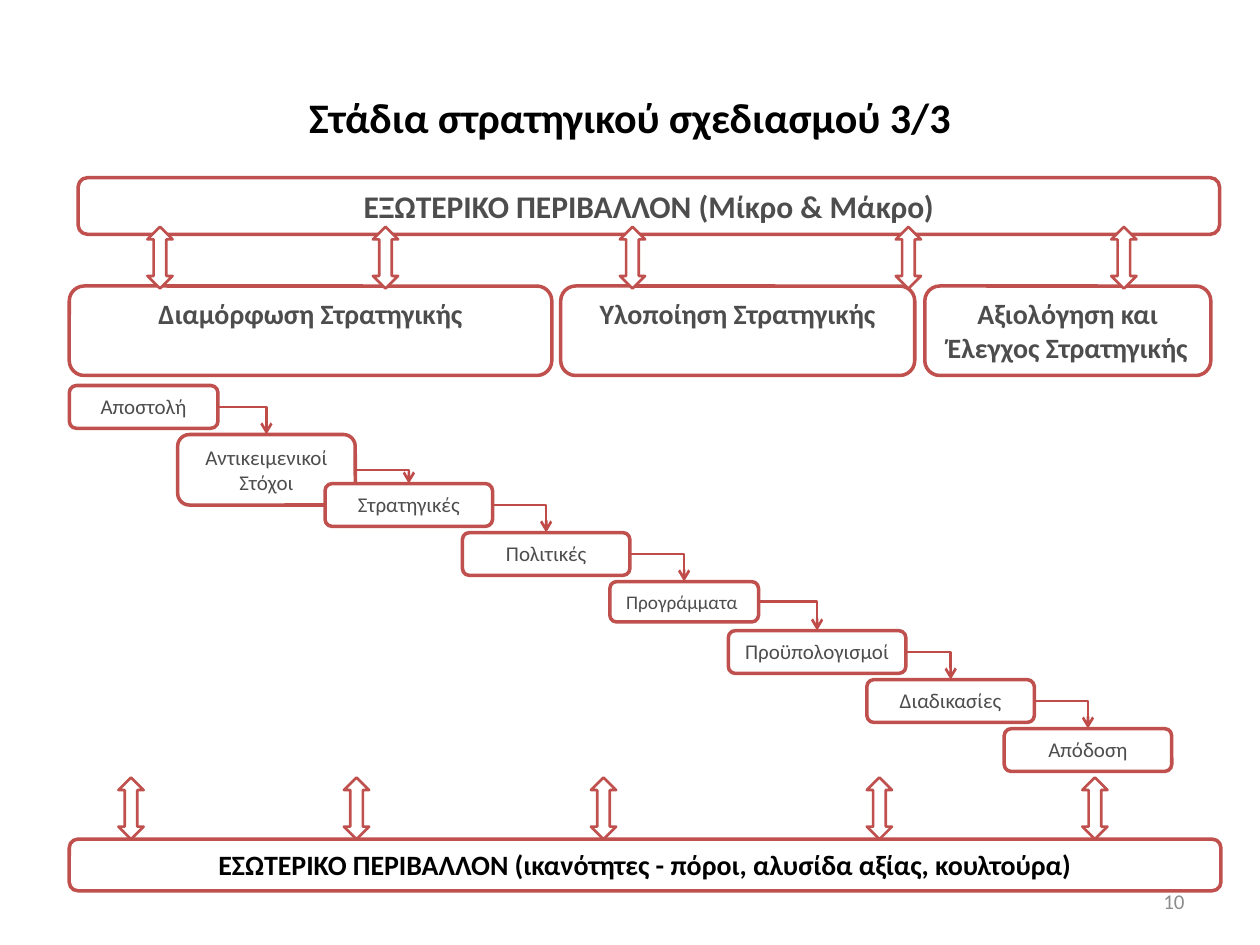
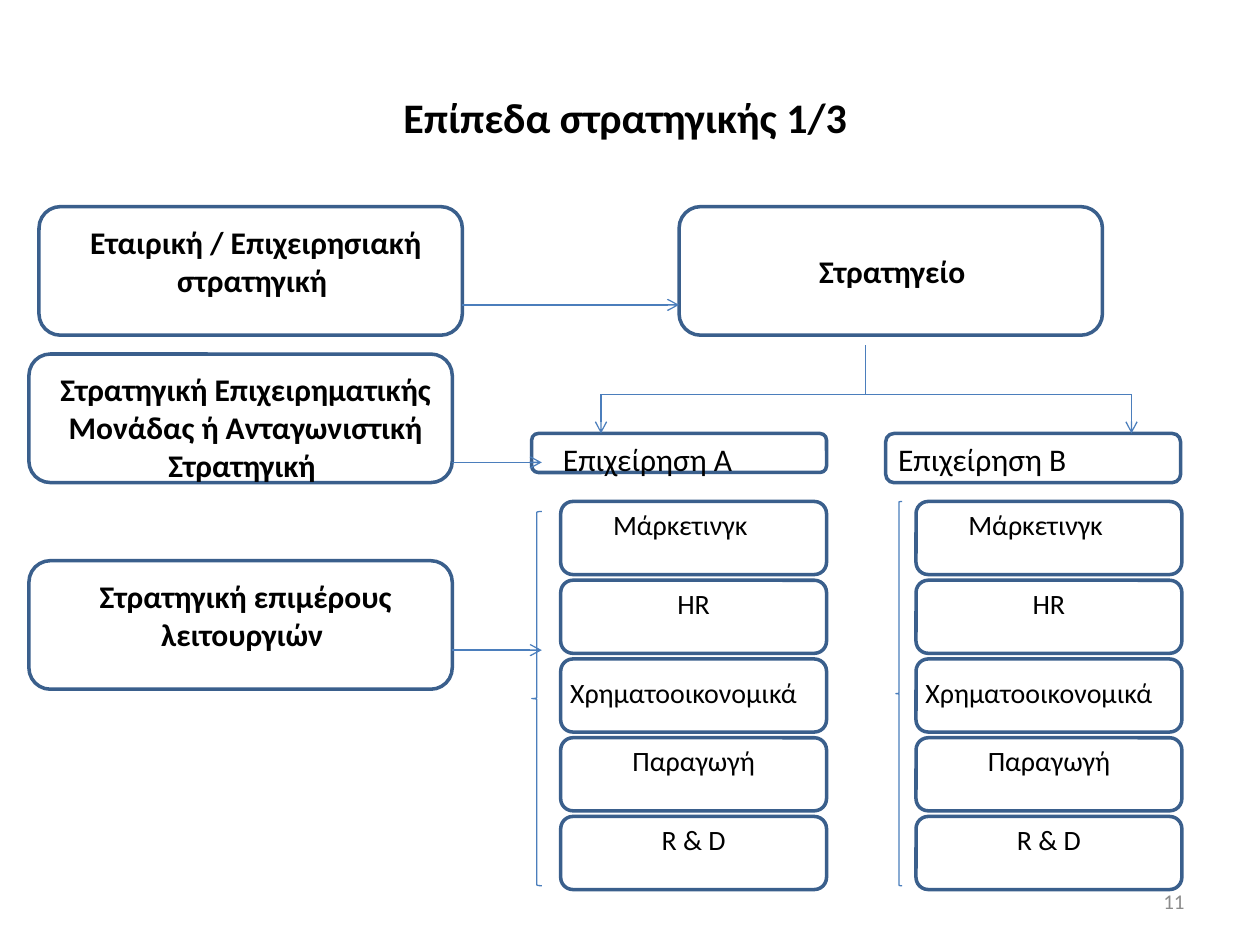
from itertools import pairwise

from lxml.etree import SubElement
from pptx import Presentation
from pptx.dml.color import RGBColor
from pptx.enum.shapes import MSO_CONNECTOR, MSO_SHAPE
from pptx.enum.text import MSO_ANCHOR, MSO_AUTO_SIZE, PP_ALIGN
from pptx.oxml.ns import qn
from pptx.util import Inches, Pt

FONT = "Calibri"
WHITE = RGBColor(0xFF, 0xFF, 0xFF)
BLACK = RGBColor(0, 0, 0)
DARK_GREY = RGBColor(0x4D, 0x4D, 0x4D)
PAGE_GREY = RGBColor(0x8C, 0x8C, 0x8C)
RED = RGBColor(0xC0, 0x50, 0x4D)
RED_LINK = RGBColor(0xBF, 0x4C, 0x48)
BLUE = RGBColor(0x3A, 0x5F, 0x8C)
BLUE_LINK = RGBColor(0x4B, 0x7E, 0xBC)

# Slide 1: planning stages
EXTERNAL = "ΕΞΩΤΕΡΙΚΟ ΠΕΡΙΒΑΛΛΟΝ (Μίκρο & Mάκρο)"
INTERNAL = "ΕΣΩΤΕΡΙΚΟ ΠΕΡΙΒΑΛΛΟΝ (ικανότητες - πόροι, αλυσίδα αξίας, κουλτούρα)"
PHASES = [  # text, left, width
    ("Διαμόρφωση Στρατηγικής", 0.55, 3.83),
    ("Υλοποίηση Στρατηγικής", 4.45, 2.81),
    ("Αξιολόγηση και Έλεγχος Στρατηγικής", 7.34, 2.27),
]
STEPS = [  # text, left, width, height, size
    ("Αποστολή", 0.55, 1.18, 0.34, 12),
    ("Αντικειμενικοί Στόχοι", 1.41, 1.41, 0.56, 12),
    ("Στρατηγικές", 2.58, 1.33, 0.34, 12),
    ("Πολιτικές", 3.67, 1.33, 0.34, 12),
    ("Προγράμματα ", 4.84, 1.18, 0.32, 11),
    ("Προϋπολογισμοί", 5.78, 1.41, 0.34, 12),
    ("Διαδικασίες", 6.88, 1.33, 0.34, 12),
    ("Απόδοση", 7.97, 1.33, 0.34, 12),
]
STEP_TOP, STEP_DROP = 3.06, 0.389
ARROW_LEFTS = [0.94, 2.73, 4.69, 6.88, 8.59]
ARROW_ROWS = [(6.17, 0), (1.8, 0.23)]  # top, shift to the right

# Slide 2: strategy levels
LEVEL_SIZE = (3.36, 1.02)
LEVELS = [  # text, lines, left, top, text offset from the top
    ("Εταιρική / Επιχειρησιακή στρατηγική ", 2, 0.31, 1.64, 0.08),
    ("Στρατηγική Επιχειρηματικής Μονάδας ή Ανταγωνιστική Στρατηγική ",
     3, 0.23, 2.81, 0.08),
    ("Στρατηγική επιμέρους λειτουργιών ", 2, 0.23, 4.45, 0.08),
    ("Στρατηγείο ", 1, 5.39, 1.64, 0.31),
]
COMPANIES = [  # text, left, text left, height, functions left, brace box
    ("Επιχείρηση Α", 4.22, 4.37, 0.31, 4.45, (4.22, 4.06, 0.08, 2.97)),
    ("Επιχείρηση Β", 7.03, 7.03, 0.39, 7.27, (7.11, 3.98, 0.05, 3.05)),
]
FUNCTIONS = [  # text, lines, text offset (x, y), text width
    ("Μάρκετινγκ ", 1, (0, 0), 1.95),
    ("HR", 1, (0.08, 0), 1.95),
    ("Χρηματοοικονομικά", 2, (-0.08, 0.08), 2.11),
    ("Παραγωγή", 1, (0.08, 0), 1.95),
    ("R & D", 1, (0.08, 0), 1.95),
]
FUNCTION_TOP, FUNCTION_PITCH = 3.98, 0.625
LEVEL_ARROWS = [(3.67, 5.39, 2.42), (3.59, 4.3, 3.67), (3.59, 4.3, 5.16)]
TREE_Y, TREE_LEFT, TREE_MIDDLE, TREE_RIGHT = 3.13, 4.77, 6.87, 8.98
COMPANY_TOP = 3.44


def write(shape, text, size, color, bold=False, align=PP_ALIGN.CENTER):
    frame = shape.text_frame
    frame.word_wrap = True
    para = frame.paragraphs[0]
    para.text = text
    para.alignment = align
    para.font.name = FONT
    para.font.size = Pt(size)
    para.font.bold = bold
    para.font.color.rgb = color
    return frame


def add_figure(page, kind, box, line, width, fill=WHITE):
    shape = page.shapes.add_shape(kind, *map(Inches, box))
    shape.shadow.inherit = False
    if fill is None:
        shape.fill.background()
    else:
        shape.fill.solid()
        shape.fill.fore_color.rgb = fill
    shape.line.color.rgb = line
    shape.line.width = Pt(width)
    return shape


def add_box(page, box, line):
    return add_figure(page, MSO_SHAPE.ROUNDED_RECTANGLE, box, line, 2)


def add_text_box(page, box, *style, **options):
    return write(page.shapes.add_textbox(*map(Inches, box)), *style, **options)


def add_red_box(page, box, text, size, color=DARK_GREY, bold=True):
    shape = add_box(page, box, RED)
    frame = write(shape, text, size, color, bold)
    frame.vertical_anchor = MSO_ANCHOR.TOP
    frame.auto_size = MSO_AUTO_SIZE.SHAPE_TO_FIT_TEXT
    return shape


def add_label(page, left, top, width, lines, text, size, **options):
    """Text box whose height follows from its number of lines."""
    height = 0.1 + lines * size * 0.017
    frame = add_text_box(page, (left, top, width, height), text, size, BLACK, **options)
    frame.auto_size = MSO_AUTO_SIZE.SHAPE_TO_FIT_TEXT


def style_link(link, color, width, arrow):
    link.line.color.rgb = color
    link.line.width = Pt(width)
    properties = link._element.spPr
    if arrow:
        SubElement(properties.find(qn("a:ln")), qn("a:tailEnd"), type="arrow")
    SubElement(properties, qn("a:effectLst"))


def add_line(page, start, end, arrow=False):
    link = page.shapes.add_connector(
        MSO_CONNECTOR.STRAIGHT, *map(Inches, (*start, *end)))
    style_link(link, BLUE_LINK, 0.75, arrow)


def add_step_link(page, upper, lower):
    """One-bend arrow from the right side of a step to the top of the next."""
    link = page.shapes.add_connector(MSO_CONNECTOR.ELBOW, 0, 0, 0, 0)
    link.begin_connect(upper, 3)
    link.end_connect(lower, 0)
    link._element.spPr.find(qn("a:prstGeom")).set("prst", "bentConnector2")
    style_link(link, RED_LINK, 1.5, True)


def add_page(deck, title, number):
    page = deck.slides.add_slide(deck.slide_layouts[5])
    heading = page.shapes.title
    heading.left, heading.top, heading.width, heading.height = map(
        Inches, (0.5, 0.3, 9, 1.25))
    write(heading, title, 24, BLACK, True).vertical_anchor = MSO_ANCHOR.MIDDLE
    footer = add_text_box(page, (7.17, 6.95, 2.33, 0.4), number, 12, PAGE_GREY,
                          align=PP_ALIGN.RIGHT)
    footer.vertical_anchor = MSO_ANCHOR.MIDDLE
    return page


def build_stages(deck):
    page = add_page(deck, "Στάδια στρατηγικού σχεδιασμού 3/3", "10")
    for text, left, width in PHASES:
        add_red_box(page, (left, 2.27, width, 0.71), text, 16)
    add_red_box(page, (0.62, 1.41, 9.06, 0.45), EXTERNAL, 18)
    steps = [
        add_red_box(page, (left, STEP_TOP + row * STEP_DROP, width, height),
                    text, size, bold=False)
        for row, (text, left, width, height, size) in enumerate(STEPS)
    ]
    for upper, lower in pairwise(steps):
        add_step_link(page, upper, lower)
    add_red_box(page, (0.55, 6.66, 9.14, 0.41), INTERNAL, 16, BLACK)
    for top, shift in ARROW_ROWS:
        for left in ARROW_LEFTS:
            arrow = add_figure(page, MSO_SHAPE.UP_DOWN_ARROW,
                               (left + shift, top, 0.2, 0.49), RED, 1.5)
            arrow.adjustments[0] = 0.456
            arrow.adjustments[1] = 0.5


def build_levels(deck):
    page = add_page(deck, "Επίπεδα στρατηγικής 1/3 ", "11")
    for text, lines, left, top, drop in LEVELS:
        add_box(page, (left, top, *LEVEL_SIZE), BLUE)
        add_label(page, left + 0.08, top + drop, 3.28, lines, text, 18, bold=True)
    for text, left, text_left, height, functions_left, brace in COMPANIES:
        add_box(page, (left, COMPANY_TOP, 2.34, height), BLUE)
        add_label(page, text_left, COMPANY_TOP, 2.27, 1, text, 18,
                  align=PP_ALIGN.LEFT)
        for row, (name, lines, (dx, dy), width) in enumerate(FUNCTIONS):
            top = FUNCTION_TOP + row * FUNCTION_PITCH
            add_box(page, (functions_left, top, 2.11, 0.58), BLUE)
            add_label(page, functions_left + dx, top + dy, width, lines, name, 16)
        add_figure(page, MSO_SHAPE.LEFT_BRACE, brace, BLUE_LINK, 0.75, fill=None)
    for start, end, y in LEVEL_ARROWS:
        add_line(page, (start, y), (end, y), arrow=True)
    add_line(page, (TREE_MIDDLE, 2.74), (TREE_MIDDLE, TREE_Y))
    add_line(page, (TREE_LEFT, TREE_Y), (TREE_RIGHT, TREE_Y))
    for x in (TREE_LEFT, TREE_RIGHT):
        add_line(page, (x, TREE_Y), (x, COMPANY_TOP), arrow=True)


def main():
    deck = Presentation()
    deck.slide_width, deck.slide_height = Inches(10), Inches(7.5)
    build_stages(deck)
    build_levels(deck)
    deck.save("out.pptx")


if __name__ == "__main__":
    main()
